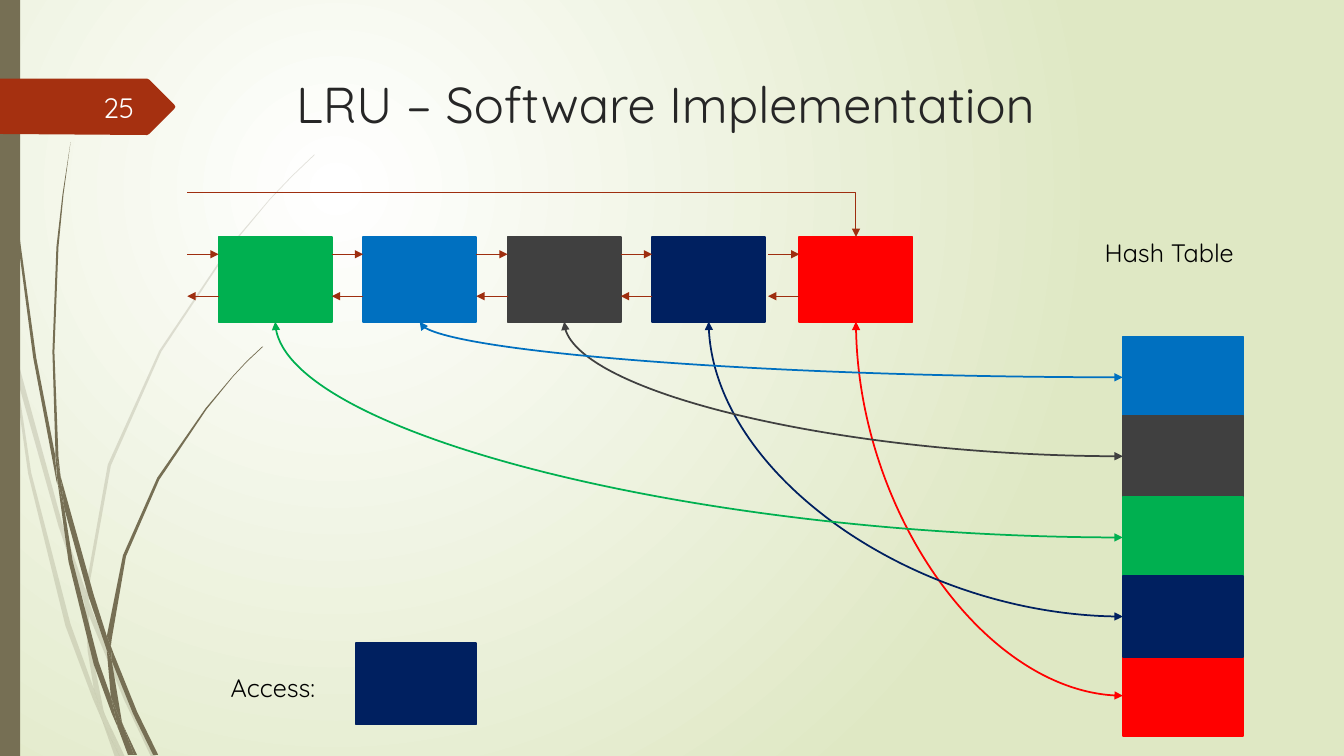
from dataclasses import dataclass

from lxml.etree import SubElement
from pptx import Presentation
from pptx.dml.color import RGBColor
from pptx.enum.shapes import MSO_CONNECTOR, MSO_SHAPE
from pptx.enum.text import MSO_ANCHOR, PP_ALIGN
from pptx.oxml.ns import qn
from pptx.util import Pt


@dataclass(frozen=True)
class Theme:
    font: str = "Quicksand"
    title_size: float = 36
    number_size: float = 20
    label_size: float = 18
    title: str = "262626"
    label: str = "000000"
    number: str = "FEFFFF"
    center: str = "FFFFFF"
    edge: str = "DFE8C4"
    stem: str = "766F54"
    tag: str = "A53010"
    link: str = "9E2E0F"
    green: str = "00B050"
    blue: str = "0070C0"
    gray: str = "404040"
    navy: str = "002060"
    red: str = "FF0000"
    link_width: float = 0.75
    border_width: float = 1.25


THEME = Theme()

# Outlines are in hundredths of an inch.
OUTLINE_UNIT = Pt(0.72)
PALE_WISP = [
    [(11, 350), (9, 322), (0, 282), (0, 299), (10, 344)],
    [(58, 522), (84, 599), (85, 586), (62, 520), (14, 345), (17, 376)],
    [(92, 607), (88, 596), (88, 610), (123, 694), (150, 751), (155, 751), (127, 692)],
    [(119, 751), (124, 751), (105, 711)],
    [(93, 683), (70, 619), (31, 469), (17, 376), (11, 350), (28, 470), (65, 621), (92, 693),
     (101, 714), (99, 707)],
    [(84, 599), (87, 646), (93, 683), (96, 692), (105, 711), (103, 706), (91, 646), (88, 610),
     (88, 608)],
    [(88, 584), (110, 462), (160, 349), (229, 245), (268, 198), (290, 175), (312, 154), (312, 153),
     (289, 175), (268, 197), (228, 244), (158, 348), (107, 461), (85, 584), (85, 586), (88, 596)],
    [(101, 714), (114, 751), (119, 751)],
    [(88, 608), (88, 610), (88, 596), (85, 586), (84, 599)],
    [(96, 692), (93, 683), (99, 707), (101, 714), (119, 751), (105, 711)],
]
DARK_WISP = [
    [(7, 110), (17, 233), (33, 355), (56, 477), (57, 481), (55, 457), (55, 453), (36, 355),
     (19, 232), (8, 109), (5, 48), (4, 0), (3, 0), (4, 48)],
    [(88, 592), (106, 645), (106, 633), (106, 631), (93, 590), (60, 472), (64, 505)],
    [(113, 649), (110, 641), (111, 656), (132, 708), (152, 749), (157, 749), (136, 706)],
    [(110, 691), (98, 657), (72, 556), (64, 505), (57, 477), (68, 557), (93, 659), (111, 708),
     (117, 722), (116, 717)],
    [(60, 472), (58, 453), (54, 349), (58, 245), (63, 193), (70, 141), (62, 193), (56, 245),
     (52, 349), (55, 449)],
    [(133, 749), (136, 749), (122, 719)],
    [(57, 477), (64, 505), (60, 472), (55, 449), (55, 453)],
    [(111, 633), (125, 552), (158, 476), (205, 406), (231, 374), (245, 359), (261, 344), (260, 344),
     (245, 358), (231, 373), (204, 405), (156, 474), (122, 551), (106, 631), (110, 641)],
    [(117, 722), (127, 749), (131, 749)],
    [(106, 645), (110, 691), (116, 706), (122, 719), (121, 716), (111, 656), (109, 651)],
    [(106, 645), (109, 651), (111, 656), (110, 641), (106, 631), (106, 633)],
    [(116, 706), (110, 691), (116, 717), (117, 722), (130, 749), (133, 749), (122, 719)],
]
NUMBER_TAG = [(0, 78), (146, 78), (148, 79), (173, 104), (174, 106), (173, 108), (148, 133),
              (146, 134), (0, 133)]

NODE_TOP, NODE_WIDTH, NODE_HEIGHT = 169.2, 80.8, 60.6
NODE_LEFTS = {THEME.green: 156.2, THEME.blue: 259.4, THEME.gray: 362.6, THEME.navy: 465.8,
              THEME.red: 571}
LINK_LENGTH, NEXT_Y, PREVIOUS_Y = 22.4, 181.6, 211.6
CELL_LEFT, CELL_WIDTH, CELL_HEIGHT = 802, 86, 58.2
CELL_TOPS = {THEME.blue: 240.4, THEME.gray: 296.8, THEME.green: 354.8, THEME.red: 467.8,
             THEME.navy: 411.3}


def rgb(color):
    return RGBColor.from_string(color)


def paint_background(slide):
    """Fill the slide with a radial gradient centred in its upper left."""
    fill = slide.background.fill
    fill.gradient()
    for stop, color in zip(fill.gradient_stops, (THEME.center, THEME.edge)):
        stop.color.rgb = rgb(color)
    linear = slide.element.find(".//" + qn("a:lin"))
    gradient = linear.getparent()
    gradient.remove(linear)
    circle = SubElement(gradient, qn("a:path"), {"path": "circle"})
    SubElement(circle, qn("a:fillToRect"), l="50000", t="50000", r="100000", b="100000")


def add_outline(shapes, points, color, opacity=100):
    builder = shapes.build_freeform(*points[0], scale=OUTLINE_UNIT)
    builder.add_line_segments(points[1:], close=True)
    outline = builder.convert_to_shape()
    outline.shadow.inherit = False
    outline.fill.solid()
    outline.fill.fore_color.rgb = rgb(color)
    outline.line.fill.background()
    if opacity < 100:
        shade = outline.element.spPr.find(".//" + qn("a:srgbClr"))
        SubElement(shade, qn("a:alpha"), val=str(opacity * 1000))


def add_wisp(shapes, strands, opacity=100):
    wisp = shapes.add_group_shape()
    for strand in strands:
        add_outline(wisp.shapes, strand, THEME.stem, opacity)


def add_block(shapes, left, top, width, height, color, bordered=True):
    block = shapes.add_shape(MSO_SHAPE.RECTANGLE, Pt(left), Pt(top), Pt(width), Pt(height))
    block.shadow.inherit = False
    block.fill.solid()
    block.fill.fore_color.rgb = rgb(color)
    if bordered:
        block.line.color.rgb = rgb(color)
        block.line.width = Pt(THEME.border_width)
    else:
        block.line.fill.background()


def add_arrow(shapes, start, end, color=THEME.link, width=THEME.link_width,
              kind=MSO_CONNECTOR.STRAIGHT, ends=("tailEnd",)):
    arrow = shapes.add_connector(kind, *map(Pt, start + end))
    arrow.line.color.rgb = rgb(color)
    arrow.line.width = Pt(width)
    properties = arrow.element.spPr
    for end_tag in ends:
        SubElement(properties.find(qn("a:ln")), qn("a:" + end_tag), type="triangle")
    SubElement(properties, qn("a:effectLst"))
    return properties


def add_corner_arrow(shapes, start, end):
    """Draw an arrow that runs right, then down."""
    properties = add_arrow(shapes, start, end, kind=MSO_CONNECTOR.ELBOW)
    properties.find(qn("a:prstGeom")).set("prst", "bentConnector2")


def add_lookup_curve(shapes, color):
    """Join a list node and its hash table cell with a two-headed curve."""
    start = (NODE_LEFTS[color] + NODE_WIDTH / 2, NODE_TOP + NODE_HEIGHT)
    end = (CELL_LEFT, CELL_TOPS[color] + CELL_HEIGHT / 2)
    properties = add_arrow(shapes, start, end, color, THEME.border_width,
                           MSO_CONNECTOR.CURVE, ("headEnd", "tailEnd"))
    properties.find(qn("a:prstGeom")).set("prst", "curvedConnector2")
    properties.find(qn("a:xfrm")).set("rot", "10800000")


def add_node(shapes, left, color):
    node = shapes.add_group_shape().shapes
    add_block(node, left, NODE_TOP, NODE_WIDTH, NODE_HEIGHT, color)
    add_arrow(node, (left - LINK_LENGTH, NEXT_Y), (left, NEXT_Y))
    add_arrow(node, (left, PREVIOUS_Y), (left - LINK_LENGTH, PREVIOUS_Y))


def add_text(shapes, text, left, top, width, height, size, color,
             align=PP_ALIGN.LEFT, anchor=MSO_ANCHOR.TOP):
    box = shapes.add_textbox(Pt(left), Pt(top), Pt(width), Pt(height))
    frame = box.text_frame
    frame.word_wrap = True
    frame.vertical_anchor = anchor
    para = frame.paragraphs[0]
    para.text = text
    para.alignment = align
    para.font.name = THEME.font
    para.font.size = Pt(size)
    para.font.color.rgb = rgb(color)


def main():
    deck = Presentation()
    deck.slide_width, deck.slide_height = Pt(960), Pt(540)
    slide = deck.slides.add_slide(deck.slide_layouts[6])
    shapes = slide.shapes

    paint_background(slide)
    add_wisp(shapes, PALE_WISP, opacity=20)
    add_wisp(shapes, DARK_WISP)
    add_block(shapes, 0, 0, 14.4, 540, THEME.stem, bordered=False)
    add_outline(shapes, NUMBER_TAG, THEME.tag)
    add_text(shapes, "LRU – Software Implementation", 204.5, 49, 702, 100.8,
             THEME.title_size, THEME.title)

    for color, left in NODE_LEFTS.items():
        add_node(shapes, left, color)
    table = shapes.add_group_shape().shapes
    for color, top in CELL_TOPS.items():
        add_block(table, CELL_LEFT, top, CELL_WIDTH, CELL_HEIGHT, color)
    add_corner_arrow(shapes, (NODE_LEFTS[THEME.green] - LINK_LENGTH, 137.5),
                     (NODE_LEFTS[THEME.red] + NODE_WIDTH / 2, NODE_TOP))
    for color in (THEME.red, THEME.navy, THEME.green, THEME.gray, THEME.blue):
        add_lookup_curve(shapes, color)

    add_block(shapes, 254.2, 459.4, CELL_WIDTH, CELL_HEIGHT, THEME.navy)
    add_text(shapes, "Access:", 157.7, 476.6, 101.5, 29, THEME.label_size, THEME.label)
    add_text(shapes, "Hash Table", 782, 165.6, 125.3, 29, THEME.label_size, THEME.label)
    add_text(shapes, "25", 41.8, 62, 61.2, 29, THEME.number_size, THEME.number,
             PP_ALIGN.RIGHT, MSO_ANCHOR.MIDDLE)
    deck.save("out.pptx")


if __name__ == "__main__":
    main()
